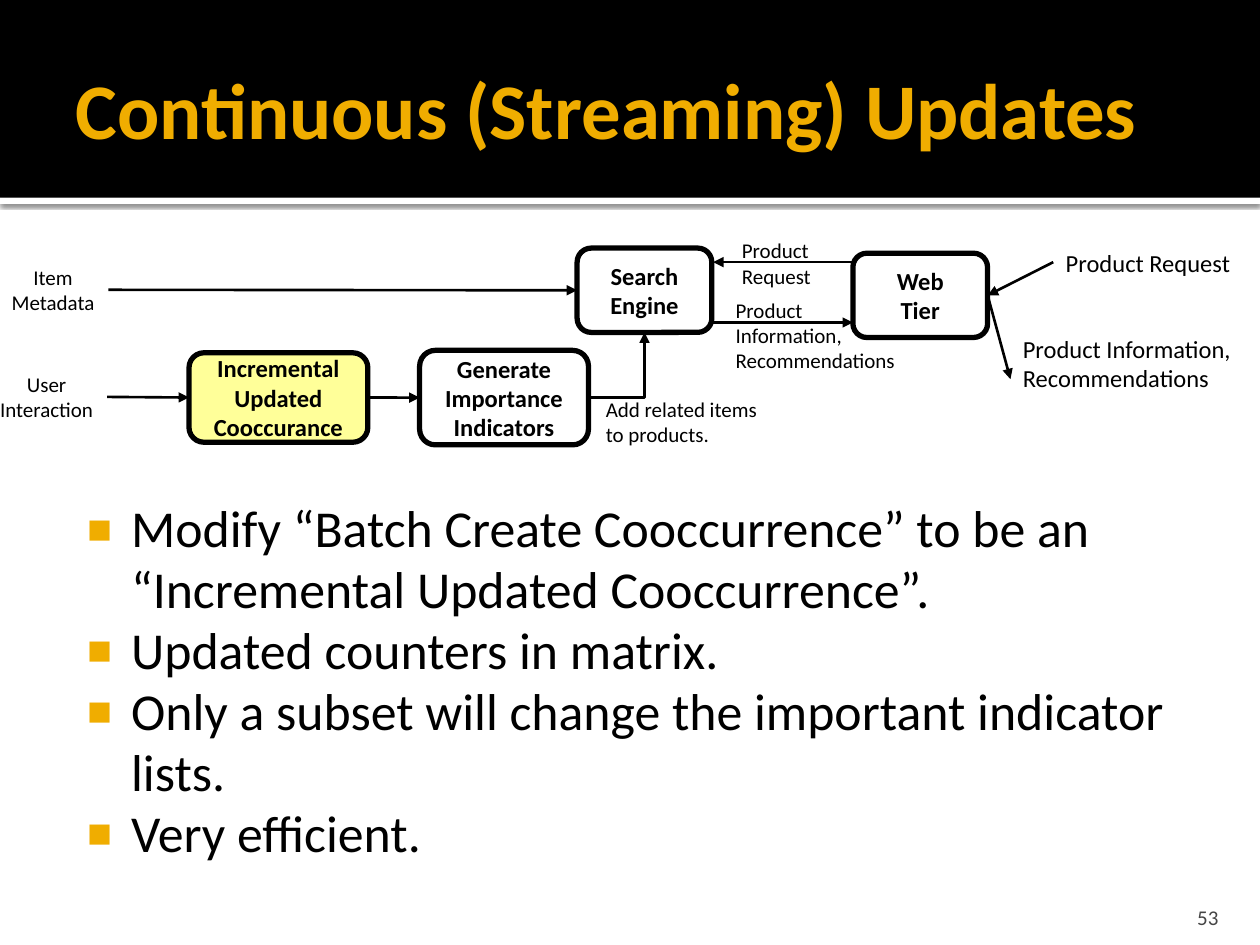
from lxml import etree
from pptx import Presentation
from pptx.dml.color import RGBColor
from pptx.enum.shapes import MSO_CONNECTOR, MSO_SHAPE
from pptx.enum.text import MSO_ANCHOR, MSO_AUTO_SIZE, PP_ALIGN
from pptx.oxml.ns import qn
from pptx.util import Pt

STRAIGHT, ELBOW = MSO_CONNECTOR.STRAIGHT, MSO_CONNECTOR.ELBOW
RECTANGLE, ROUNDED = MSO_SHAPE.RECTANGLE, MSO_SHAPE.ROUNDED_RECTANGLE
LEFT, CENTER, RIGHT = PP_ALIGN.LEFT, PP_ALIGN.CENTER, PP_ALIGN.RIGHT
TOP, MIDDLE, BOTTOM = MSO_ANCHOR.TOP, MSO_ANCHOR.MIDDLE, MSO_ANCHOR.BOTTOM
FIXED = MSO_AUTO_SIZE.NONE

FONT = "Calibri"
BLACK, WHITE, GOLD, YELLOW, GREY = "000000", "FFFFFF", "F0AD00", "FFFF99", "454545"
SITE_LEFT, SITE_BOTTOM, SITE_RIGHT = 1, 2, 3


def color(value):
    return RGBColor.from_string(value)


def points(values):
    return [Pt(value) for value in values]


def add_xml(parent, tag, **attributes):
    return etree.SubElement(parent, qn(tag), attributes)


def move(shape, box):
    shape.left, shape.top, shape.width, shape.height = points(box)


def set_frame(frame, anchor, insets, wrap=True):
    frame.auto_size = FIXED
    frame.word_wrap = wrap
    frame.vertical_anchor = anchor
    (frame.margin_left, frame.margin_top,
     frame.margin_right, frame.margin_bottom) = points(insets)


def write(frame, lines, size, fill=BLACK, bold=False, align=LEFT):
    for index, line in enumerate(lines):
        para = frame.paragraphs[0] if index == 0 else frame.add_paragraph()
        para.alignment = align
        span = para.add_run()
        span.text = line
        span.font.name = FONT
        span.font.size = Pt(size)
        span.font.bold = bold
        span.font.color.rgb = color(fill)


def add_band(page, box, fill):
    band = page.shapes.add_shape(RECTANGLE, *points(box))
    band.shadow.inherit = False
    band.fill.solid()
    band.fill.fore_color.rgb = color(fill)
    band.line.fill.background()
    return band


def add_header(page, box, text):
    left, top, width, height = box
    stripe = add_band(page, (left, top + height, width, 3.6), WHITE)
    effects = stripe._element.spPr.find(qn("a:effectLst"))
    shadow = add_xml(effects, "a:outerShdw", blurRad=str(Pt(2.5)), dist=str(Pt(0.8)),
                     dir="5400000", algn="t", rotWithShape="0")
    add_xml(add_xml(shadow, "a:srgbClr", val=BLACK), "a:alpha", val="60000")
    panel = add_band(page, box, BLACK)
    # The bands go behind the placeholders.
    tree = page.shapes._spTree
    for position, band in enumerate((stripe, panel), start=2):
        tree.insert(position, band._element)

    title = page.shapes.title
    move(title, (left + 36, top + 12.2, width - 72, 98.6))
    set_frame(title.text_frame, MIDDLE, (7.2, 3.6, 3.6, 3.6))
    write(title.text_frame, [text], 45, GOLD, bold=True)


def add_bullets(page, box, lines):
    body = page.placeholders[1]
    move(body, box)
    set_frame(body.text_frame, TOP, (4.3, 7.2, 7.2, 3.6))
    write(body.text_frame, lines, 29.6)
    for para in body.text_frame.paragraphs:
        para.line_spacing = 0.98
        para.space_before = para.space_after = Pt(0)
        properties = para._p.get_or_add_pPr()
        properties.set("marL", str(Pt(34.6)))
        properties.set("indent", str(Pt(-25.2)))
        add_xml(add_xml(properties, "a:buClr"), "a:srgbClr", val=GOLD)
        add_xml(properties, "a:buSzPct", val="80000")
        add_xml(properties, "a:buFont", typeface="Arial")
        add_xml(properties, "a:buChar", char="■")


def add_step(page, box, lines, fill=WHITE):
    step = page.shapes.add_shape(ROUNDED, *points(box))
    step.shadow.inherit = False
    step.fill.solid()
    step.fill.fore_color.rgb = color(fill)
    step.line.color.rgb = color(BLACK)
    step.line.width = Pt(3)
    set_frame(step.text_frame, MIDDLE, (7.2, 3.6, 7.2, 3.6))
    write(step.text_frame, lines, 14, bold=True, align=CENTER)
    return step


def add_label(page, box, lines, size=12, align=LEFT):
    label = page.shapes.add_textbox(*points(box))
    set_frame(label.text_frame, TOP, (7.2, 3.6, 7.2, 3.6), wrap=False)
    write(label.text_frame, lines, size, align=align)


def add_arrow(page, start, end, kind=STRAIGHT):
    """Draw an arrow; each end is an (x, y) point or a (step, site) pair."""
    glued = [not isinstance(point[0], (int, float)) for point in (start, end)]
    first, last = [(0, 0) if is_glued else point
                   for is_glued, point in zip(glued, (start, end))]
    arrow = page.shapes.add_connector(kind, *points(first + last))
    if glued[0]:
        arrow.begin_connect(*start)
    if glued[1]:
        arrow.end_connect(*end)
    arrow.line.color.rgb = color(BLACK)
    arrow.line.width = Pt(1.5)
    properties = arrow._element.spPr
    add_xml(properties.find(qn("a:ln")), "a:tailEnd", type="triangle")
    add_xml(properties, "a:effectLst")
    if kind == ELBOW:
        properties.find(qn("a:prstGeom")).set("prst", "bentConnector2")


def add_flow(page, left, top):
    def at(x, y, *size):
        return (left + x, top + y) + size

    search = add_step(page, at(329.8, 9.8, 77, 48.2), ["Search", "Engine"])
    web = add_step(page, at(487.4, 12.7, 77, 48.2), ["Web", "Tier"])
    update = add_step(page, at(108, 69.6, 102.2, 51.1),
                      ["Incremental Updated", "Cooccurance"], YELLOW)
    generate = add_step(page, at(239.8, 68.2, 96.5, 54),
                        ["Generate Importance Indicators"])

    add_arrow(page, at(61.9, 33.6), (search, SITE_LEFT))
    add_arrow(page, at(61.2, 94.8), (update, SITE_LEFT))
    add_arrow(page, (update, SITE_RIGHT), (generate, SITE_LEFT))
    add_arrow(page, (generate, SITE_RIGHT), (search, SITE_BOTTOM), ELBOW)
    add_arrow(page, at(601.9, 17.8), (web, SITE_RIGHT))
    add_arrow(page, (web, SITE_RIGHT), at(577.4, 84.7))
    add_arrow(page, at(487.4, 17.8), at(407.5, 17.8))
    add_arrow(page, at(407.5, 52.3), at(487.4, 52.3))

    add_label(page, at(-1.4, 15.6, 63.4, 36), ["Item", "Metadata"], align=CENTER)
    add_label(page, at(-7.9, 76.8, 69.1, 36), ["User", "Interaction"], align=CENTER)
    add_label(page, at(339.1, 91.2, 105.8, 36), ["Add related items", "to products."])
    add_label(page, at(416.9, 0.5, 55.4, 36), ["Product", "Request"])
    add_label(page, at(413.3, 34.3, 109.4, 51.1),
              ["Product", "Information,", "Recommendations"])
    add_label(page, at(601.9, 6.2, 111.6, 24.5), ["Product Request"], 14)
    add_label(page, at(577.4, 55.2, 137.5, 58.3),
              ["Product Information,", "Recommendations"], 14)


def add_page_number(page, box, text):
    number = page.shapes.add_textbox(*points(box))
    set_frame(number.text_frame, BOTTOM, (7.2, 3.6, 7.2, 0))
    write(number.text_frame, [text], 12, GREY, align=RIGHT)


def main():
    deck = Presentation()
    deck.slide_width, deck.slide_height = Pt(720), Pt(540)
    page = deck.slides.add_slide(deck.slide_layouts[1])
    page.background.fill.solid()
    page.background.fill.fore_color.rgb = color(WHITE)
    add_header(page, (0, 0, 720, 113), "Continuous (Streaming) Updates")
    add_bullets(page, (36, 277.9, 648, 226.1), [
        "Modify “Batch Create Cooccurrence” to be an “Incremental Updated Cooccurrence”.",
        "Updated counters in matrix.",
        "Only a subset will change the important indicator lists.",
        "Very efficient.",
    ])
    add_page_number(page, (645.8, 509.8, 57.6, 21.6), "53")
    add_flow(page, 0, 132)
    deck.save("out.pptx")


if __name__ == "__main__":
    main()
